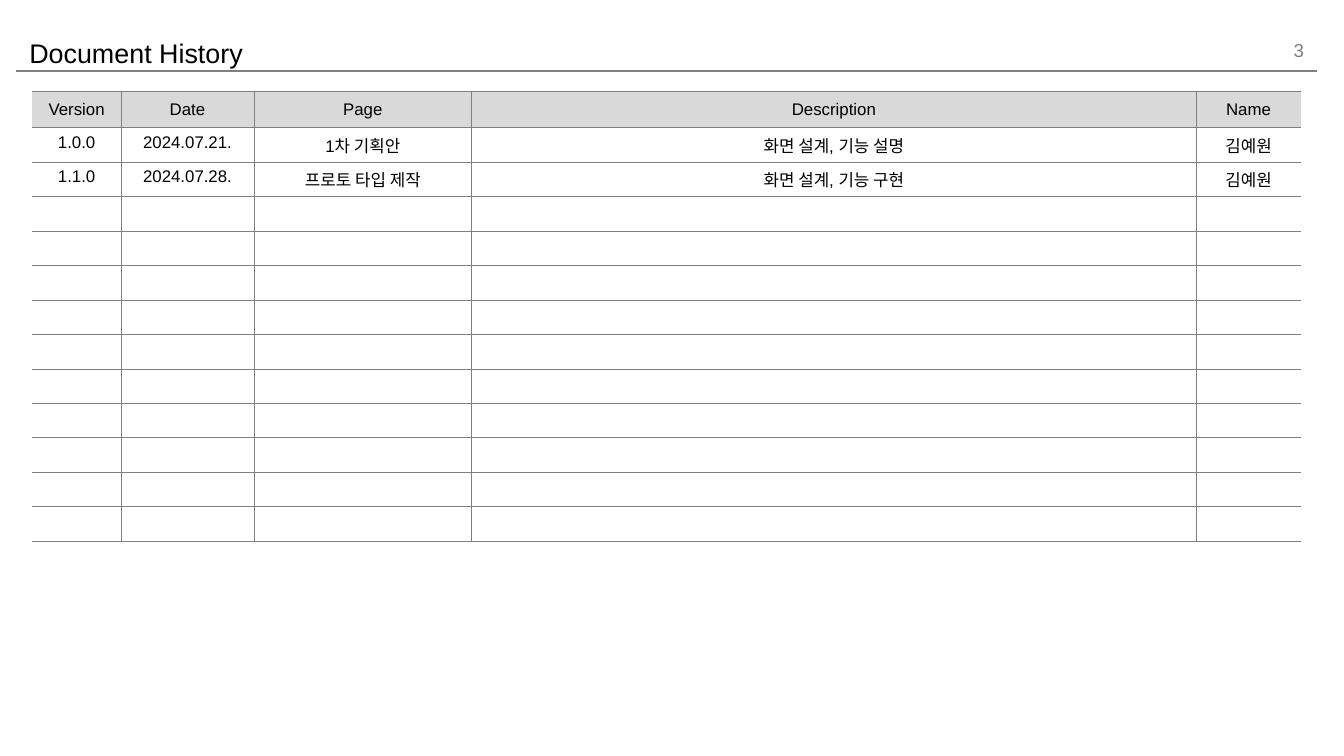
from lxml import etree
from pptx import Presentation
from pptx.dml.color import RGBColor
from pptx.enum.shapes import MSO_CONNECTOR
from pptx.enum.text import MSO_ANCHOR, PP_ALIGN
from pptx.oxml.ns import qn
from pptx.util import Inches, Pt

STRAIGHT = MSO_CONNECTOR.STRAIGHT
TOP, MIDDLE = MSO_ANCHOR.TOP, MSO_ANCHOR.MIDDLE
LEFT, CENTER, RIGHT = PP_ALIGN.LEFT, PP_ALIGN.CENTER, PP_ALIGN.RIGHT
BLACK = RGBColor(0x00, 0x00, 0x00)
GRAY = RGBColor(0x80, 0x80, 0x80)
HEADER_FILL = RGBColor(0xD9, 0xD9, 0xD9)
WHITE = RGBColor(0xFF, 0xFF, 0xFF)
FONT = "Arial"

SLIDE_WIDTH = 10
SLIDE_HEIGHT = SLIDE_WIDTH * 9 / 16
TITLE = "Document History"
PAGE_NUMBER = "3"
COLUMNS = [("Version", 0.66), ("Date", 0.99), ("Page", 1.62),
           ("Description", 5.39), ("Name", 0.78)]
REVISIONS = [
    ("1.0.0", "2024.07.21.", "1차 기획안", "화면 설계, 기능 설명", "김예원"),
    ("1.1.0", "2024.07.28.", "프로토 타입 제작", "화면 설계, 기능 구현", "김예원"),
]
EMPTY_ROWS = 10
TABLE_LEFT, TABLE_TOP, TABLE_HEIGHT = 0.24, 0.68, 3.35
HEADER_HEIGHT = 0.27
CELL_SIZE = 9


def write(frame, text, size, color, align):
    frame.text = text
    paragraph = frame.paragraphs[0]
    paragraph.alignment = align
    for run in paragraph.runs:
        run.font.name = FONT
        run.font.size = Pt(size)
        run.font.color.rgb = color


def add_label(slide, box, text, size, color, align):
    frame = slide.shapes.add_textbox(*map(Inches, box)).text_frame
    frame.word_wrap = True
    frame.vertical_anchor = MIDDLE
    write(frame, text, size, color, align)


def add_border(cell, side, visible):
    line = etree.SubElement(cell._tc.get_or_add_tcPr(), qn(f"a:ln{side}"), w=str(Pt(0.25)))
    if visible:
        fill = etree.SubElement(line, qn("a:solidFill"))
        etree.SubElement(fill, qn("a:srgbClr"), val=str(GRAY))
    else:
        etree.SubElement(line, qn("a:noFill"))


def add_history_table(slide):
    rows = [[name for name, _ in COLUMNS], *REVISIONS]
    rows += [[""] * len(COLUMNS)] * EMPTY_ROWS
    last = len(COLUMNS) - 1
    width = sum(column_width for _, column_width in COLUMNS)
    table = slide.shapes.add_table(
        len(rows), len(COLUMNS), Inches(TABLE_LEFT), Inches(TABLE_TOP),
        Inches(width), Inches(TABLE_HEIGHT)).table
    table.first_row = False
    table.horz_banding = False
    for column, (_, column_width) in zip(table.columns, COLUMNS):
        column.width = Inches(column_width)
    body_height = (TABLE_HEIGHT - HEADER_HEIGHT) / (len(rows) - 1)

    for r, values in enumerate(rows):
        is_header = r == 0
        table.rows[r].height = Inches(HEADER_HEIGHT if is_header else body_height)
        for c, value in enumerate(values):
            cell = table.cell(r, c)
            cell.margin_left = cell.margin_right = Inches(0.1)
            cell.margin_top = cell.margin_bottom = Inches(0.04)
            cell.vertical_anchor = MIDDLE if is_header else TOP
            write(cell.text_frame, value, CELL_SIZE, BLACK, CENTER)
            if not value:
                etree.SubElement(cell.text_frame.paragraphs[0]._p,
                                 qn("a:endParaRPr"), sz=str(CELL_SIZE * 100))
            for side, visible in (("L", c > 0), ("R", c < last), ("T", True), ("B", True)):
                add_border(cell, side, visible)
            cell.fill.solid()
            cell.fill.fore_color.rgb = HEADER_FILL if is_header else WHITE


def main():
    deck = Presentation()
    deck.slide_width, deck.slide_height = Inches(SLIDE_WIDTH), Inches(SLIDE_HEIGHT)
    slide = deck.slides.add_slide(deck.slide_layouts[6])

    rule = slide.shapes.add_connector(
        STRAIGHT, Inches(0.12), Inches(0.53), Inches(9.8), Inches(0.53))
    rule.line.color.rgb = GRAY
    rule.line.width = Pt(1)
    etree.SubElement(rule._element.spPr, qn("a:effectLst"))

    add_label(slide, (0.12, 0.24, 8.03, 0.3), TITLE, 14.4, BLACK, LEFT)
    add_history_table(slide)
    add_label(slide, (9.2, 0.22, 0.6, 0.3), PAGE_NUMBER, 10, GRAY, RIGHT)
    deck.save("out.pptx")


if __name__ == "__main__":
    main()
